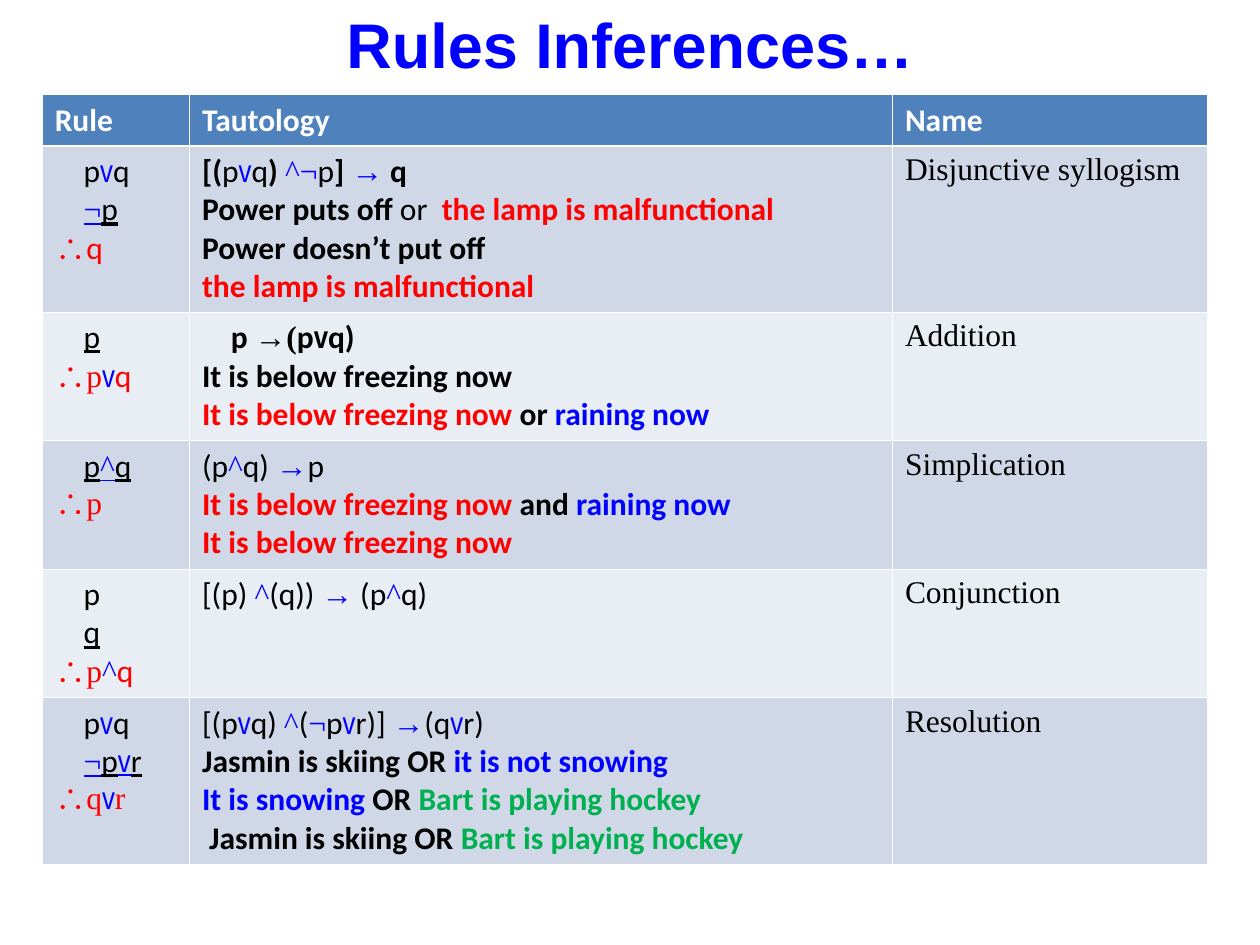
from lxml.etree import SubElement
from pptx import Presentation
from pptx.dml.color import RGBColor
from pptx.enum.text import MSO_ANCHOR as Anchor, MSO_AUTO_SIZE as AutoSize, PP_ALIGN as Align
from pptx.oxml.ns import qn
from pptx.util import Cm, Pt

# Colours
BLACK = RGBColor(0x00, 0x00, 0x00)
WHITE = RGBColor(0xFF, 0xFF, 0xFF)
BLUE = RGBColor(0x00, 0x00, 0xFF)
RED = RGBColor(0xFF, 0x00, 0x00)
GREEN = RGBColor(0x00, 0xB0, 0x50)
HEADER_FILL = RGBColor(0x4F, 0x81, 0xBD)
BAND_FILLS = (RGBColor(0xE9, 0xED, 0xF4), RGBColor(0xD0, 0xD8, 0xE8))

# Fonts and traits
ARIAL, NARROW, CALIBRI, TIMES = "Arial", "Arial Narrow", "Calibri", "Times New Roman"
BOLD, LINE = "bold", "underline"

# Logic symbols: text followed by its traits
OR = ("v", NARROW, BLUE)
AND = ("^", TIMES, BLUE)
NOT = ("¬", TIMES, BLUE)
ARROW = ("→", TIMES, BLUE)
SO = ("∴", ARIAL, RED)
FREEZING = ("It is below freezing now", BOLD, RED)
RAINING = (" raining now", BOLD, BLUE)
LAMP = ("the lamp is malfunctional", BOLD, RED)
JASMIN = ("Jasmin is skiing OR ", BOLD)
HOCKEY = ("Bart is playing hockey", BOLD, GREEN)
UNDER = (LINE,)

# Each rule: lines of the rule, lines of the tautology, name
RULES = [
    ([[("\tp",), OR, ("q",)],
      [("\t",), NOT + UNDER, ("p", LINE)],
      [SO, ("q", RED)]],
     [[("[(", BOLD), ("p",), OR, ("q",), (") ", BOLD), ("^¬", TIMES, BLUE), ("p",),
       ("] ", BOLD), ARROW, (" q", BOLD)],
      [("Power puts off", BOLD), (" or  ",), LAMP],
      [("Power doesn’t put off", BOLD)],
      [LAMP]],
     "Disjunctive syllogism"),
    ([[("\tp", LINE)],
      [SO, ("p", TIMES, RED), OR, ("q", RED)]],
     [[("\tp ", BOLD), ("→(", TIMES, BOLD), ("p", BOLD), ("v", NARROW, BOLD), ("q)", BOLD)],
      [("It is below freezing now", BOLD)],
      [FREEZING, (" or", BOLD), RAINING]],
     "Addition"),
    ([[("\tp", LINE), AND + UNDER, ("q", LINE)],
      [SO, ("p", TIMES, RED)]],
     [[("(p",), AND, ("q) ",), ARROW, ("p",)],
      [FREEZING, (" and", BOLD), RAINING],
      [FREEZING]],
     "Simplication"),
    ([[("\tp",)],
      [("\tq", LINE)],
      [SO, ("p", TIMES, RED), AND, ("q", RED)]],
     [[("[(p) ",), AND, ("(q)) ",), ARROW, (" (p",), AND, ("q)",)]],
     "Conjunction"),
    ([[("\tp",), OR, ("q",)],
      [("\t", LINE), NOT + UNDER, ("p", LINE), OR + UNDER, ("r", LINE)],
      [SO, ("q", TIMES, RED), OR, ("r", TIMES, RED)]],
     [[("[(p",), OR, ("q) ",), AND, ("(",), NOT, ("p",), OR, ("r)] ",), ARROW,
       ("(q",), OR, ("r)",)],
      [JASMIN, ("it is not snowing", BOLD, BLUE)],
      [("It is snowing", BOLD, BLUE), (" OR ", BOLD), HOCKEY],
      [(" ", BOLD), JASMIN, HOCKEY]],
     "Resolution"),
]


def write_lines(frame, lines):
    """Write each line as a paragraph of styled spans."""
    for index, line in enumerate(lines):
        para = frame.add_paragraph() if index else frame.paragraphs[0]
        if line[0][0].startswith("\t"):
            tabs = SubElement(para._p.get_or_add_pPr(), qn("a:tabLst"))
            SubElement(tabs, qn("a:tab"), pos=str(Cm(0.58)), algn="l")
        para.font.size = Pt(18)
        for text, *traits in line:
            span = para.add_run()
            span.text = text
            span.font.name = next((t for t in traits if t in (ARIAL, NARROW, TIMES)), CALIBRI)
            span.font.color.rgb = next((t for t in traits if isinstance(t, RGBColor)), BLACK)
            span.font.bold = BOLD in traits
            span.font.underline = LINE in traits


def draw_borders(cell, top, bottom):
    """Give a cell white borders; widths are in points."""
    for side, width in (("L", 0.45), ("R", 0.45), ("T", top), ("B", bottom)):
        border = SubElement(cell._tc.get_or_add_tcPr(), qn(f"a:ln{side}"), w=str(Pt(width)))
        fill = SubElement(border, qn("a:solidFill"))
        SubElement(fill, qn("a:srgbClr"), val=str(WHITE))


deck = Presentation()
deck.slide_width, deck.slide_height = Cm(25.4), Cm(19.05)
page = deck.slides.add_slide(deck.slide_layouts[5])

# Title
title = page.shapes.title
title.left, title.top, title.width, title.height = Cm(1.27), Cm(0.2), Cm(22.86), Cm(1.35)
title.text_frame.text = "Rules Inferences…"
title.text_frame.auto_size = AutoSize.NONE
title.text_frame.vertical_anchor = Anchor.MIDDLE
para = title.text_frame.paragraphs[0]
para.alignment = Align.CENTER
para.font.name, para.font.size, para.font.bold = ARIAL, Pt(36), True
para.font.color.rgb = BLUE

# Table grid
column_widths = (2.97, 14.17, 6.35)
row_heights = (1.02, 3.35, 2.59, 2.59, 2.59, 3.35)
table = page.shapes.add_table(len(row_heights), len(column_widths), Cm(0.85), Cm(1.91),
                              Cm(sum(column_widths)), Cm(sum(row_heights))).table
for column, width in zip(table.columns, column_widths):
    column.width = Cm(width)
for row, height in zip(table.rows, row_heights):
    row.height = Cm(height)

# Header and rule rows
header = [[[(name, BOLD, WHITE)]] for name in ("Rule", "Tautology", "Name")]
rows = [header] + [[rule, tautology, [[(name, TIMES)]]] for rule, tautology, name in RULES]
for row_index, row in enumerate(rows):
    for column_index, lines in enumerate(row):
        cell = table.cell(row_index, column_index)
        draw_borders(cell, top=1.47 if row_index == 1 else 0.45,
                     bottom=1.47 if row_index == 0 else 0.45)
        cell.fill.solid()
        cell.fill.fore_color.rgb = BAND_FILLS[row_index % 2] if row_index else HEADER_FILL
        write_lines(cell.text_frame, lines)

deck.save("out.pptx")
